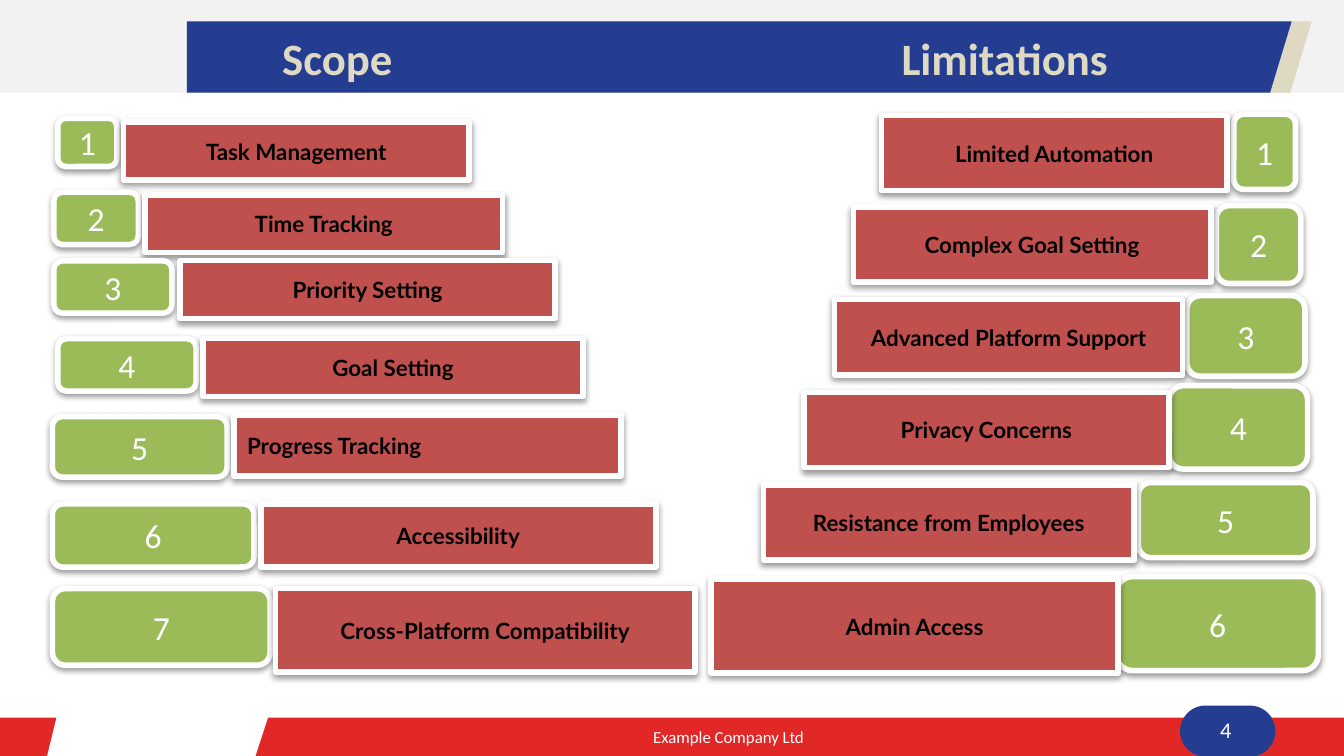
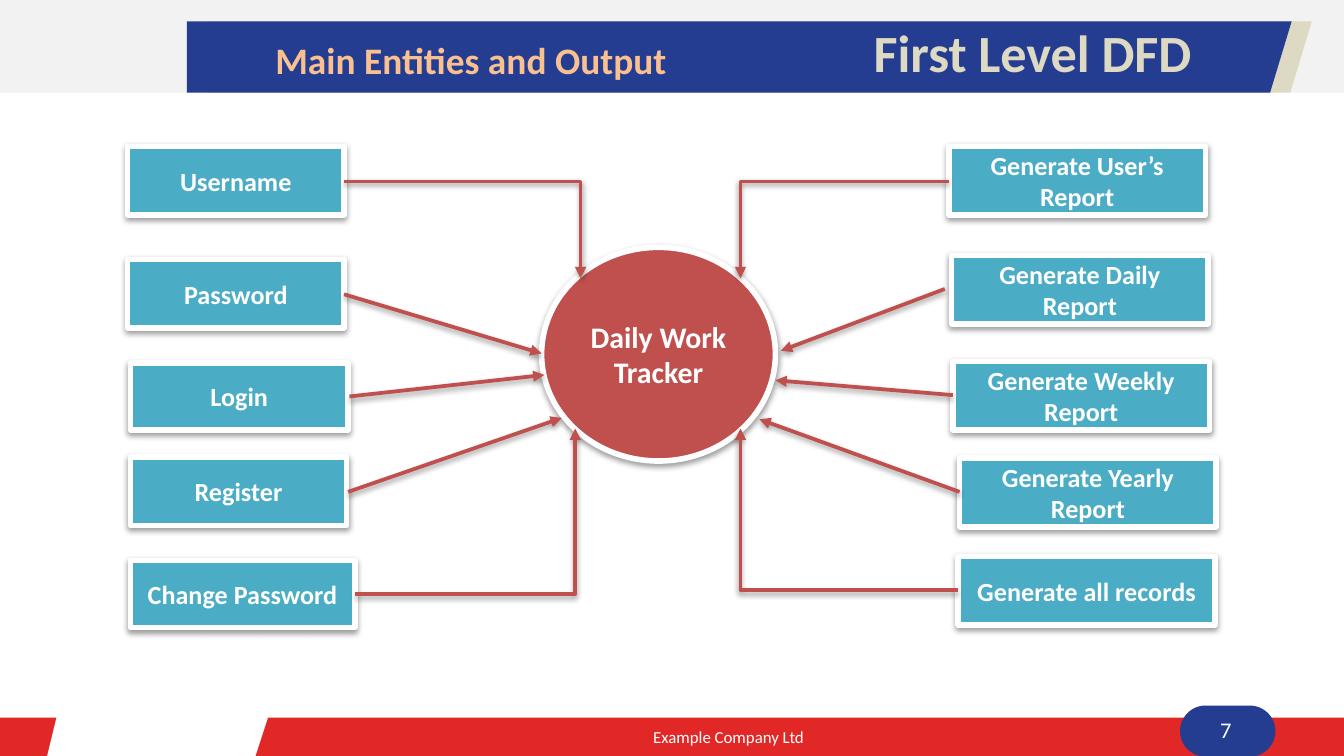
"""Two slides: scope against limitations, and a first level data flow diagram."""
from pptx import Presentation, oxml
from pptx import util as u
from pptx.dml.color import RGBColor
from pptx.enum import shapes, text
from pptx.oxml import ns

PX = 9144
WIDTH = 1000

WHITE = RGBColor(0xFF, 0xFF, 0xFF)
BLACK = RGBColor(0x00, 0x00, 0x00)
PALE_GREY = RGBColor(0xF2, 0xF2, 0xF2)
SAND = RGBColor(0xDD, 0xD9, 0xC3)
PEACH = RGBColor(0xFA, 0xC0, 0x90)
NAVY = RGBColor(0x24, 0x3D, 0x91)
RED = RGBColor(0xE2, 0x28, 0x26)
BRICK = RGBColor(0xC0, 0x50, 0x4D)
GREEN = RGBColor(0x9B, 0xBB, 0x59)
TEAL = RGBColor(0x4B, 0xAC, 0xC6)

RECT = shapes.MSO_SHAPE.RECTANGLE
ROUNDED = shapes.MSO_SHAPE.ROUNDED_RECTANGLE
OVAL = shapes.MSO_SHAPE.OVAL
LEFT, CENTER, JUSTIFY = text.PP_ALIGN.LEFT, text.PP_ALIGN.CENTER, text.PP_ALIGN.JUSTIFY

SHADOW = (
    f'<a:effectLst {ns.nsdecls("a")}>'
    '<a:outerShdw blurRad="40000" dist="20000" dir="5400000" rotWithShape="0">'
    '<a:srgbClr val="000000"><a:alpha val="38000"/></a:srgbClr>'
    '</a:outerShdw></a:effectLst>'
)
ARROWHEAD = f'<a:tailEnd {ns.nsdecls("a")} type="triangle"/>'

SCOPE = [
    ("Task Management", (53, 3, 257, 43), (4, 0, 44, 36)),
    ("Time Tracking", (69, 57, 266, 43), (1, 55, 63, 39)),
    ("Priority Setting", (95, 106, 279, 43), (1, 106, 88, 39)),
    ("Goal Setting", (112, 164, 283, 43), (4, 164, 103, 39)),
    ("Progress Tracking", (135, 221, 288, 45), (0, 222, 130, 45)),
    ("Accessibility", (155, 287, 294, 47), (0, 287, 150, 47)),
    ("Cross-Platform Compatibility", (166, 350, 312, 62), (0, 350, 162, 57)),
]
LIMITATIONS = [
    ("Limited Automation", (127, 1, 257, 56), (389, 0, 46, 56)),
    ("Complex Goal Setting", (106, 69, 266, 56), (376, 68, 63, 58)),
    ("Advanced Platform Support", (92, 138, 259, 56), (354, 135, 88, 60)),
    ("Privacy Concerns", (69, 207, 272, 56), (341, 202, 103, 62)),
    ("Resistance from Employees", (39, 276, 276, 56), (318, 274, 130, 56)),
    ("Admin Access", (0, 346, 303, 70), (302, 344, 150, 70)),
]
INPUTS = [
    ("Username", (0, 0, 161, 51)),
    ("Password", (0, 84, 161, 51)),
    ("Login", (2, 161, 162, 50)),
    ("Register", (2, 231, 161, 51)),
    ("Change Password", (2, 308, 167, 50)),
]
OUTPUTS = [
    ("Generate User’s Report", (0, 0, 191, 51)),
    ("Generate Daily Report", (2, 81, 191, 51)),
    ("Generate Weekly Report", (3, 160, 191, 51)),
    ("Generate Yearly Report", (8, 232, 191, 51)),
    ("Generate all records", (7, 305, 191, 51)),
]
BENT_FLOWS = [
    (256, 135, 432, 207), (706, 135, 551, 207),
    (264, 442, 428, 319), (713, 439, 551, 319),
]
STRAIGHT_FLOWS = [
    (256, 219, 403, 263), (260, 295, 405, 279), (259, 366, 418, 311),
    (703, 215, 581, 261), (709, 294, 577, 283), (714, 366, 565, 312),
]


def emu(*lengths):
    """Turn px lengths into EMU."""
    return [length * PX for length in lengths]


def write(holder, words, size, color, bold=False, align=LEFT, font="Calibri"):
    """Set one paragraph of text and format it."""
    holder.text_frame.text = words
    paragraph = holder.text_frame.paragraphs[0]
    paragraph.alignment = align
    style = paragraph.runs[0].font
    style.size, style.bold, style.name = u.Pt(size), bold, font
    style.color.rgb = color


def paint(part, color):
    """Give a part a flat fill with no outline or shadow."""
    part.fill.solid()
    part.fill.fore_color.rgb = color
    part.line.fill.background()
    part.shadow.inherit = False
    return part


def slanted(slide, corners, color):
    """Draw a flat four-cornered band."""
    builder = slide.shapes.build_freeform(*corners[0], scale=PX)
    builder.add_line_segments(corners[1:], close=True)
    return paint(builder.convert_to_shape(), color)


def caption(slide, box, words, size, color, bold=False, align=LEFT):
    """Place a wrapped text box."""
    label = slide.shapes.add_textbox(*emu(*box))
    label.text_frame.word_wrap = True
    write(label, words, size, color, bold, align)
    return label


def card(slide, kind, box, color):
    """Draw a filled shape with a white edge and a soft shadow."""
    part = slide.shapes.add_shape(kind, *emu(*box))
    part.fill.solid()
    part.fill.fore_color.rgb = color
    part.line.color.rgb = WHITE
    part.line.width = u.Pt(3)
    part.element.spPr.append(oxml.parse_xml(SHADOW))
    return part


def shift(box, left, top):
    """Move a relative box to its region."""
    return (box[0] + left, box[1] + top, *box[2:])


def heading(slide, box, words, size):
    """Move and format the title placeholder."""
    title = slide.shapes.title
    title.left, title.top, title.width, title.height = emu(*box)
    title.text_frame.vertical_anchor = text.MSO_ANCHOR.TOP
    title.text_frame.auto_size = text.MSO_AUTO_SIZE.NONE
    write(title, words, size, SAND, True)


def frame(slide, layout):
    """Build the shared bands and footer and hand them to the layout."""
    def bar(kind, box, color):
        return paint(slide.shapes.add_shape(kind, *emu(*box)), color)

    parts = [bar(RECT, (0, 0, WIDTH, 69), PALE_GREY)]
    for left, color in ((154, SAND), (139, NAVY)):
        corners = [(left, 16), (left + 822, 16), (left + 806, 69), (left, 69)]
        parts.append(slanted(slide, corners, color))
    parts.append(bar(RECT, (0, 534, WIDTH, 29), RED))
    pill = bar(ROUNDED, (878, 525, 71, 38), NAVY)
    pill.adjustments[0] = 0.5
    parts.append(pill)
    parts.append(slanted(slide, [(44, 526), (202, 526), (190, 563), (35, 563)], WHITE))
    parts.append(caption(slide, (217, 536, 650, 25), "Example Company Ltd",
                         9, WHITE, align=CENTER))
    for holder in list(layout.placeholders):
        if holder.placeholder_format.type != shapes.PP_PLACEHOLDER.TITLE:
            layout.shapes.element.remove(holder.element)
    for part in parts:
        layout.shapes.element.append(part.element)


def page_number(slide, number):
    """Write the page number on the footer pill."""
    caption(slide, (883, 528, 58, 30), number, 12, WHITE, align=CENTER)


def numbered_column(slide, left, top, rows):
    """Place numbered badges with their bars relative to a corner."""
    for number, (words, bar_box, badge_box) in enumerate(rows, 1):
        badge = card(slide, ROUNDED, shift(badge_box, left, top), GREEN)
        write(badge, str(number), 18, WHITE, align=CENTER)
        bar = card(slide, RECT, shift(bar_box, left, top), BRICK)
        align = JUSTIFY if words == "Progress Tracking" else CENTER
        write(bar, words, 12, BLACK, True, align, "Lato")


def entity_column(slide, left, top, entities):
    """Place entity boxes relative to a corner."""
    for words, box in entities:
        entity = card(slide, RECT, shift(box, left, top), TEAL)
        write(entity, words, 14, WHITE, True, CENTER)


def flow(slide, ends, bent=False):
    """Draw an arrow, straight or with one right-angled turn."""
    kind = shapes.MSO_CONNECTOR.ELBOW if bent else shapes.MSO_CONNECTOR.STRAIGHT
    arrow = slide.shapes.add_connector(kind, *emu(*ends))
    arrow.line.color.rgb = BRICK
    arrow.line.width = u.Pt(2)
    properties = arrow.element.spPr
    if bent:
        properties.find(ns.qn("a:prstGeom")).set("prst", "bentConnector2")
    properties.find(ns.qn("a:ln")).append(oxml.parse_xml(ARROWHEAD))
    properties.append(oxml.parse_xml(SHADOW))


def scope_slide(slide):
    """Fill the scope and limitations slide."""
    heading(slide, (200, 18, 114, 50), "Scope", 24)
    caption(slide, (661, 18, 194, 50), "Limitations", 24, SAND, True)
    numbered_column(slide, 39, 88, SCOPE)
    numbered_column(slide, 529, 85, LIMITATIONS)
    page_number(slide, "4")


def diagram_slide(slide):
    """Fill the data flow diagram slide."""
    heading(slide, (640, 10, 325, 57), "First Level DFD", 28)
    caption(slide, (195, 23, 325, 44), "Main Entities and Output", 20, PEACH, True)
    entity_column(slide, 95, 109, INPUTS)
    entity_column(slide, 706, 109, OUTPUTS)
    tracker = card(slide, OVAL, (403, 184, 174, 159), BRICK)
    write(tracker, "Daily Work Tracker", 16, WHITE, True, CENTER)
    for ends in BENT_FLOWS:
        flow(slide, ends, bent=True)
    for ends in STRAIGHT_FLOWS:
        flow(slide, ends)
    page_number(slide, "7")


def main():
    """Build and save the deck."""
    deck = Presentation()
    deck.slide_width = WIDTH * PX
    deck.slide_height = WIDTH * PX * 9 // 16
    layout = deck.slide_layouts.get_by_name("Title Only")
    scope, diagram = (deck.slides.add_slide(layout) for _ in range(2))
    frame(scope, layout)
    scope_slide(scope)
    diagram_slide(diagram)
    deck.save("out.pptx")


if __name__ == "__main__":
    main()
